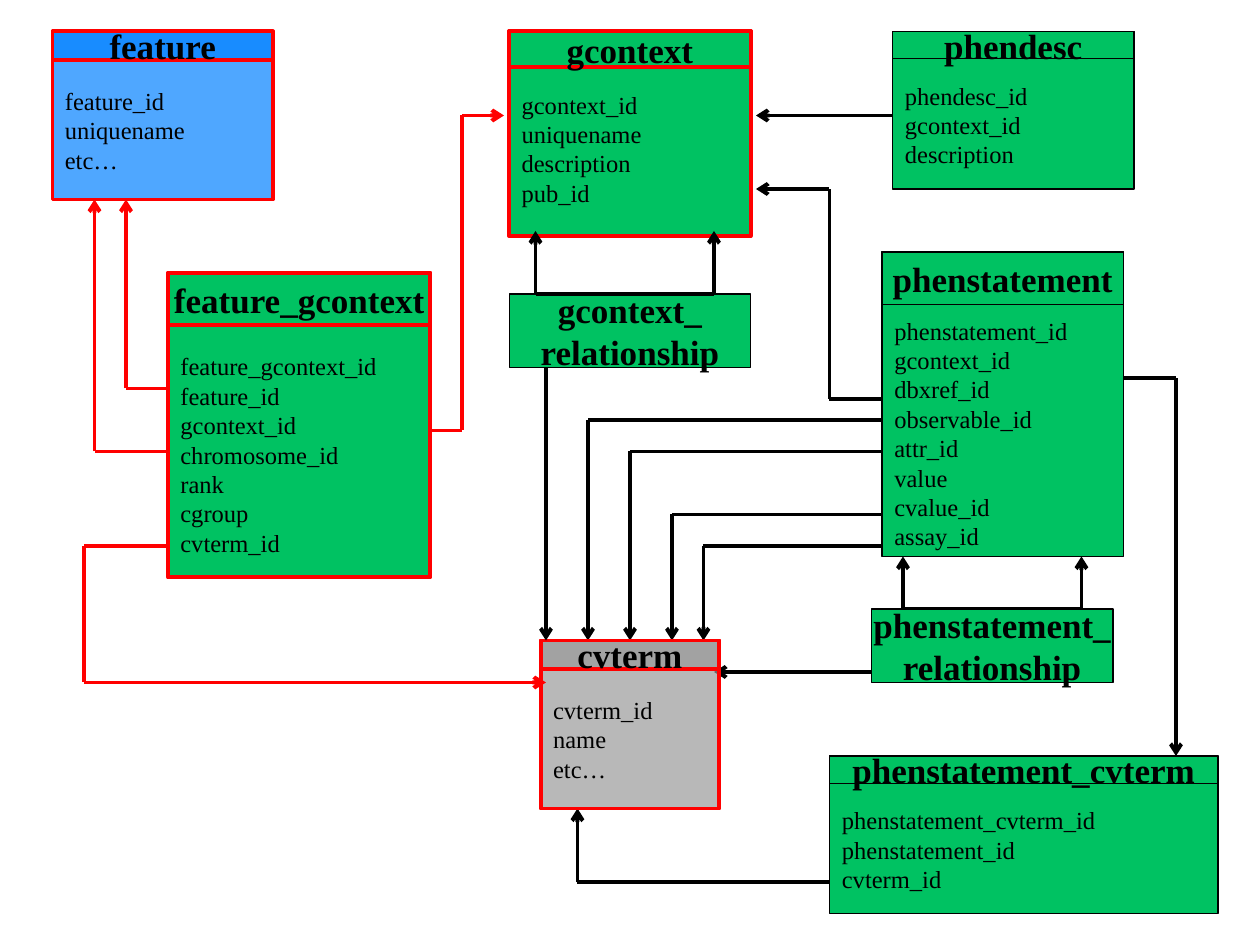
import pptx
import pptx.util
import pptx.dml.color
import pptx.enum.shapes
import pptx.enum.text
import pptx.oxml.ns
from lxml import etree

RGB = pptx.dml.color.RGBColor
GREEN, BLUE, GRAY = RGB(0x00, 0xC2, 0x62), RGB(0x00, 0x80, 0xFF), RGB(0x99, 0x99, 0x99)
BLACK, RED, = RGB(0, 0, 0), RGB(0xFF, 0, 0)
OPACITY = {BLUE: 69, GRAY: 69}
EDGE_WIDTH = {BLACK: 0.75, RED: 2.25}
FONT = "Times New Roman"
UNIT = 1 / 12       # grid step in inches
LINE_HEIGHT = 0.23  # one line of 14 pt text, in inches
PAD = 0.05

# name lines, (left, top, width, height) in grid steps, header height,
# fill, edge, lines the field list sits below the middle, fields
TABLES = [
    (["phenstatement_cvterm"], (79, 72, 37, 15), 2.6, GREEN, BLACK, 1,
     ["phenstatement_cvterm_id", "phenstatement_id", "cvterm_id"]),
    (["phenstatement"], (84, 24, 23, 29), 5, GREEN, BLACK, 2,
     ["phenstatement_id", "gcontext_id", "dbxref_id", "observable_id",
      "attr_id", "value", "cvalue_id", "assay_id"]),
    (["phenstatement_", "relationship"], (83, 58, 23, 7), 7, GREEN, BLACK, 0, []),
    (["phendesc"], (85, 3, 23, 15), 2.6, GREEN, BLACK, 1,
     ["phendesc_id", "gcontext_id", "description"]),
    (["feature"], (5, 3, 21, 16), 2.7, BLUE, RED, 1,
     ["feature_id", "uniquename", "etc…"]),
    (["feature_gcontext"], (16, 26, 25, 29), 5, GREEN, RED, 2,
     ["feature_gcontext_id", "feature_id", "gcontext_id", "chromosome_id",
      "rank", "cgroup", "cvterm_id"]),
    (["cvterm"], (51.5, 61, 17, 16), 2.75, GRAY, RED, 1,
     ["cvterm_id", "name", "etc…"]),
    (["gcontext"], (48.5, 3, 23, 19.5), 3.4, GREEN, RED, 1,
     ["gcontext_id", "uniquename", "description", "pub_id"]),
    (["gcontext_", "relationship"], (48.5, 28, 23, 7), 7, GREEN, BLACK, 0, []),
]

# Corner points in grid steps; the arrowhead is at the last point
ROUTES_BELOW = [
    (BLACK, [(83, 64), (68, 64)]),
    (BLACK, [(84, 38), (79, 38), (79, 18), (72, 18)]),
    (BLACK, [(79, 84), (55, 84), (55, 77)]),
    (BLACK, [(107, 36), (112, 36), (112, 72)]),
    (BLACK, [(84, 40), (56, 40), (56, 61)]),
    (BLACK, [(84, 43), (60, 43), (60, 61)]),
    (BLACK, [(84, 49), (64, 49), (64, 61)]),
    (BLACK, [(84, 52), (67, 52), (67, 61)]),
    (BLACK, [(86, 58), (86, 53)]),
    (BLACK, [(86, 58), (103, 58), (103, 53)]),
    (BLACK, [(85, 11), (72, 11)]),
]
ROUTES_ABOVE = [
    (RED, [(16, 37), (12, 37), (12, 19)]),
    (RED, [(16, 43), (9, 43), (9, 19)]),
    (RED, [(16, 52), (8, 52), (8, 65), (52, 65)]),
    (RED, [(41, 41), (44, 41), (44, 11), (48, 11)]),
    (BLACK, [(51, 28), (51, 22)]),
    (BLACK, [(51, 28), (68, 28), (68, 22)]),
    (BLACK, [(52, 35), (52, 61)]),
]


def grid(*steps):
    return [pptx.util.Inches(n * UNIT) for n in steps]


def add_box(s, box, fill, edge, lines, size, bold, align, drop=0):
    """Draw a rectangle whose text sits drop / 2 inches below the middle."""
    sp = s.shapes.add_shape(pptx.enum.shapes.MSO_SHAPE.RECTANGLE, *grid(*box))
    sp.shadow.inherit = False
    sp.fill.solid()
    sp.fill.fore_color.rgb = fill
    if fill in OPACITY:
        clr = sp.fill._xPr.find(".//" + pptx.oxml.ns.qn("a:srgbClr"))
        etree.SubElement(clr, pptx.oxml.ns.qn("a:alpha"), val=str(OPACITY[fill] * 1000))
    sp.line.color.rgb = edge
    sp.line.width = pptx.util.Pt(EDGE_WIDTH[edge])
    tf = sp.text_frame
    frame = {"word_wrap": False,
             "vertical_anchor": pptx.enum.text.MSO_ANCHOR.MIDDLE,
             "margin_top": pptx.util.Inches(PAD + drop),
             "margin_bottom": pptx.util.Inches(PAD)}
    for key, value in frame.items():
        setattr(tf, key, value)
    for i, line in enumerate(lines):
        p = tf.paragraphs[0] if i == 0 else tf.add_paragraph()
        p.alignment = align
        r = p.add_run()
        r.text = line
        for key, value in {"name": FONT, "size": pptx.util.Pt(size), "bold": bold}.items():
            setattr(r.font, key, value)
        r.font.color.rgb = BLACK


def add_table_box(s, name, box, header, fill, edge, drop, fields):
    left, top, width, _ = box
    align = pptx.enum.text.PP_ALIGN
    if fields:
        add_box(s, box, fill, edge, fields, 14, False, align.LEFT, drop * LINE_HEIGHT)
    add_box(s, (left, top, width, header), fill, edge, name, 20, True, align.CENTER)


def add_route(s, color, points):
    for start, end in zip(points, points[1:]):
        c = s.shapes.add_connector(pptx.enum.shapes.MSO_CONNECTOR.STRAIGHT,
                                   *grid(*start, *end))
        c.line.color.rgb = color
        c.line.width = pptx.util.Pt(2.25)
        etree.SubElement(c._element.spPr, pptx.oxml.ns.qn("a:effectLst"))
    etree.SubElement(c.line._get_or_add_ln(), pptx.oxml.ns.qn("a:tailEnd"), type="arrow")


def main():
    prs = pptx.Presentation()
    prs.slide_width, prs.slide_height = pptx.util.Inches(10), pptx.util.Inches(7.5)
    s = prs.slides.add_slide(prs.slide_layouts[6])
    for route in ROUTES_BELOW:
        add_route(s, *route)
    for table in TABLES:
        add_table_box(s, *table)
    for route in ROUTES_ABOVE:
        add_route(s, *route)
    prs.save("out.pptx")


if __name__ == "__main__":
    main()
